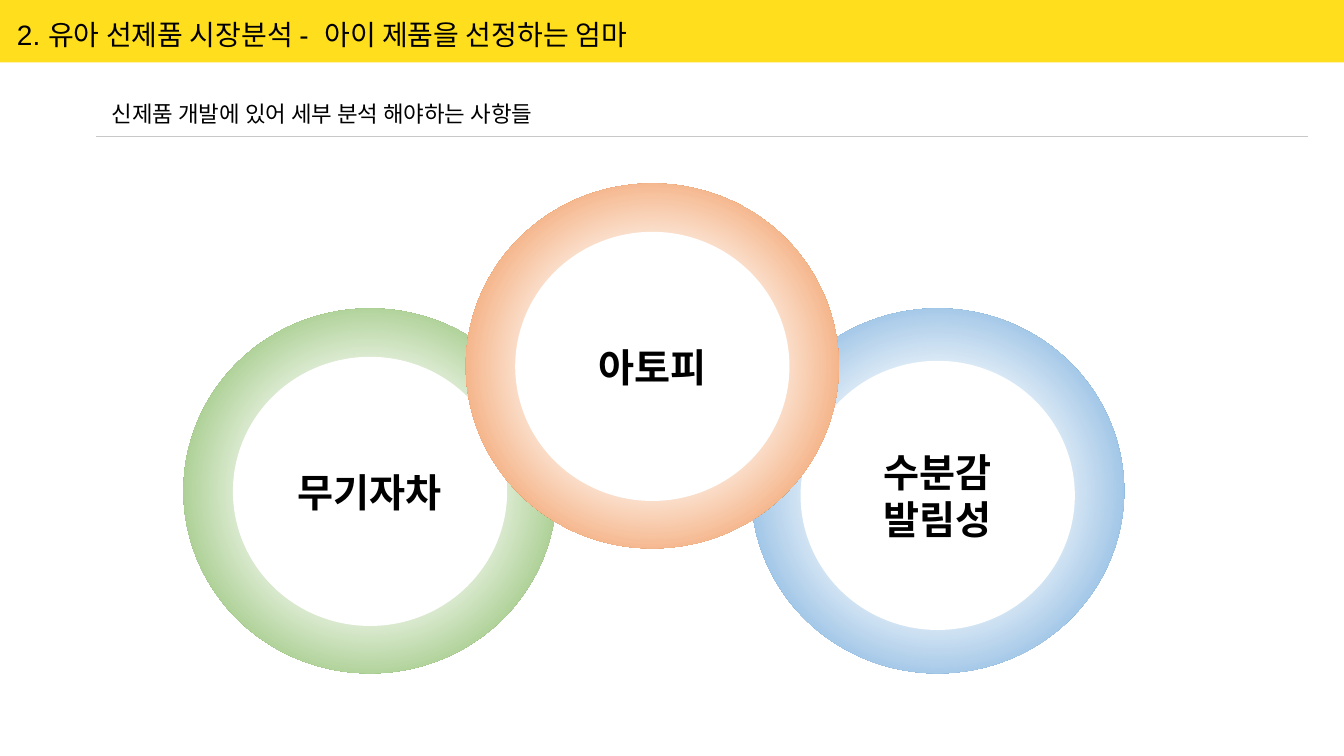
from pptx import Presentation
from pptx.util import Inches, Pt
from pptx.dml.color import RGBColor
from pptx.enum.shapes import MSO_SHAPE as Shape, MSO_CONNECTOR as Conn
from pptx.enum.text import PP_ALIGN as Align, MSO_ANCHOR as Anchor
from pptx.enum.text import MSO_AUTO_SIZE as Auto
from pptx.oxml import parse_xml
from pptx.oxml.ns import qn, nsdecls
from lxml.etree import SubElement

WIDE, HIGH = 13.33, 7.5
RING_W, RING_H = 3.7, 3.62
HOLE_W, HOLE_H = 2.72, 2.67


def add(kind, x, y, w, h, color):
    """Add a flat shape without outline or shadow."""
    item = slide.shapes.add_shape(kind, Inches(x), Inches(y), Inches(w), Inches(h))
    item.shadow.inherit = False
    item.fill.solid()
    item.fill.fore_color.rgb = RGBColor.from_string(color)
    item.line.fill.background()
    return item


def write(frame, lines, size, align, bold=False):
    """Fill a text frame, one paragraph per line."""
    frame.word_wrap = True
    for i, line in enumerate(lines):
        para = frame.add_paragraph() if i else frame.paragraphs[0]
        para.alignment = align
        run = para.add_run()
        run.text = line
        run.font.name = "Arial"
        run.font.size = Pt(size)
        run.font.bold = bold
        run.font.color.rgb = RGBColor.from_string("000000")


deck = Presentation()
deck.slide_width, deck.slide_height = Inches(WIDE), Inches(HIGH)
slide = deck.slides.add_slide(deck.slide_layouts[6])

# Title bar and rule
add(Shape.RECTANGLE, 0, 0, WIDE, 0.62, "FFDE1D")
rule = slide.shapes.add_connector(
    Conn.STRAIGHT, Inches(0.95), Inches(1.35), Inches(12.97), Inches(1.35))
rule.line.color.rgb = RGBColor.from_string("C8C8C8")
rule.line.width = Pt(0.75)
SubElement(rule._element.spPr, qn("a:effectLst"))

# Headings
heads = [
    (1.01, 0.94, 11.89, 0.37, "신제품 개발에 있어 세부 분석 해야하는 사항들", 16, Align.JUSTIFY),
    (0.07, 0.12, 7.18, 0.44, "2. 유아 선제품 시장분석 -  아이 제품을 선정하는 엄마", 20, Align.LEFT),
]
for x, y, w, h, text, size, align in heads:
    box = slide.shapes.add_textbox(Inches(x), Inches(y), Inches(w), Inches(h))
    write(box.text_frame, [text], size, align)
    box.text_frame.auto_size = Auto.SHAPE_TO_FIT_TEXT

# Rings, back to front: left, top, drop of the hole, colour, label
rings = [
    (7.45, 3.06, 0.52, "5A9BD5", ["수분감", "발림성"]),
    (1.82, 3.06, 0.48, "70AD47", ["무기자차"]),
    (4.62, 1.82, 0.48, "ED7D31", ["아토피"]),
]
for x, y, drop, color, label in rings:
    ring = add(Shape.OVAL, x, y, RING_W, RING_H, color)
    stops = "".join(
        f'<a:gs pos="{pos}000"><a:srgbClr val="{tint}"/></a:gs>'
        for pos, tint in [(0, "FFFFFF"), (35, "FFFFFF"), (100, color)])
    fade = parse_xml(
        f'<a:gradFill {nsdecls("a")} rotWithShape="1"><a:gsLst>{stops}</a:gsLst>'
        '<a:path path="circle"><a:fillToRect l="50000" t="50000" r="50000" b="50000"/>'
        '</a:path></a:gradFill>')
    props = ring._element.spPr
    props.replace(props.find(qn("a:solidFill")), fade)

    hole = add(Shape.OVAL, x + (RING_W - HOLE_W) / 2, y + drop, HOLE_W, HOLE_H, "FFFFFF")
    hole.text_frame.vertical_anchor = Anchor.MIDDLE
    write(hole.text_frame, label, 28, Align.CENTER, bold=True)

deck.save("out.pptx")
